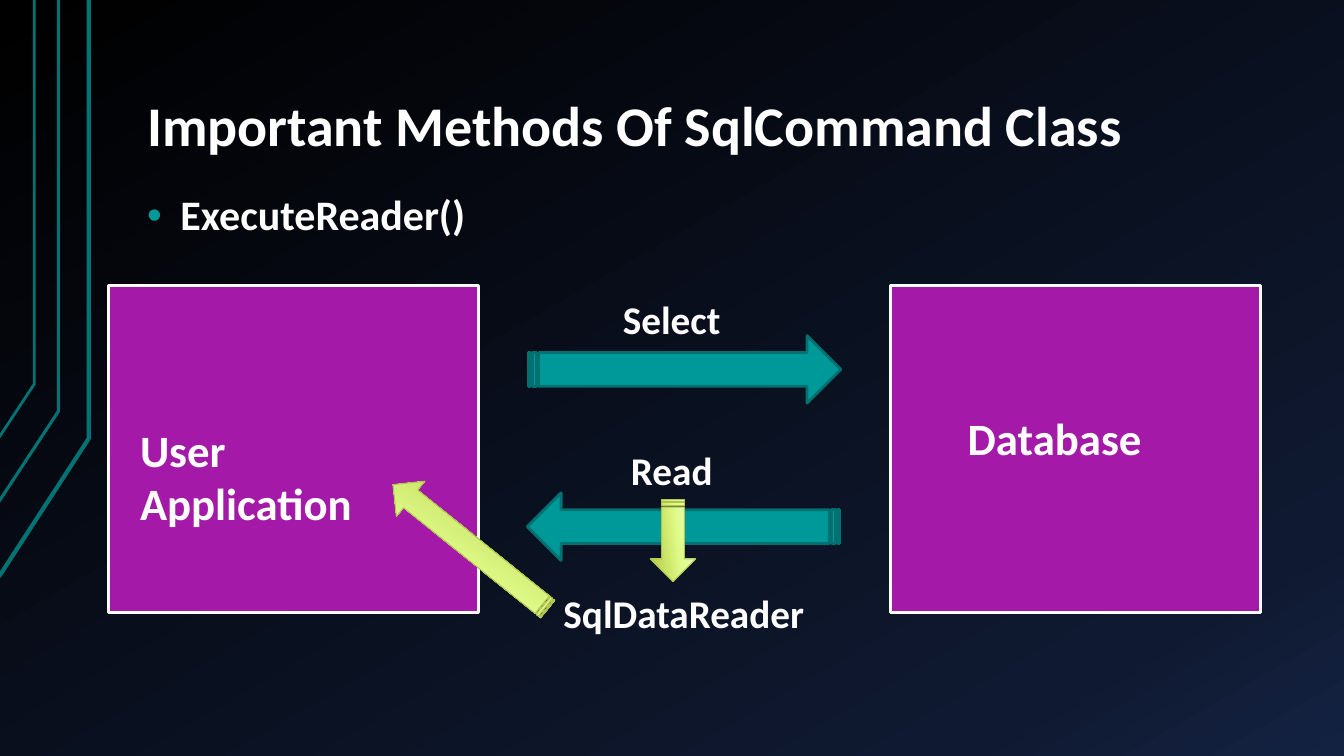
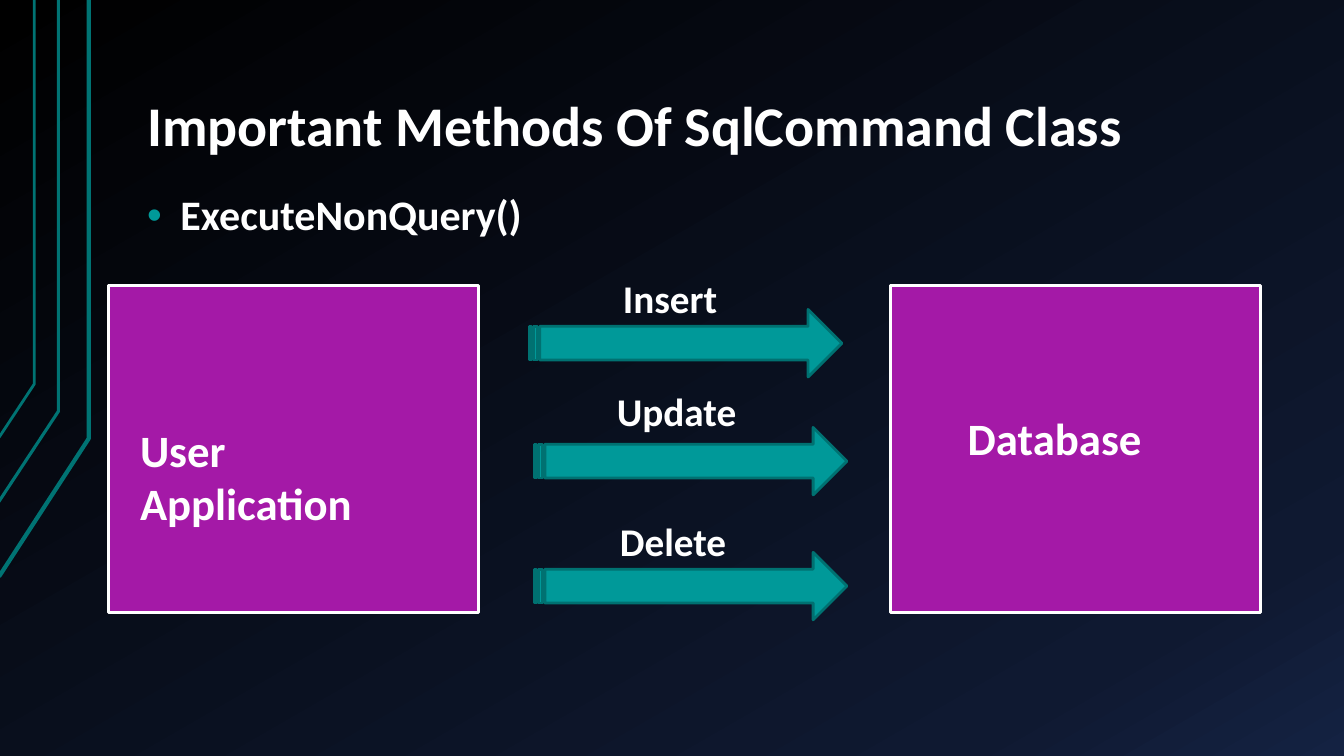
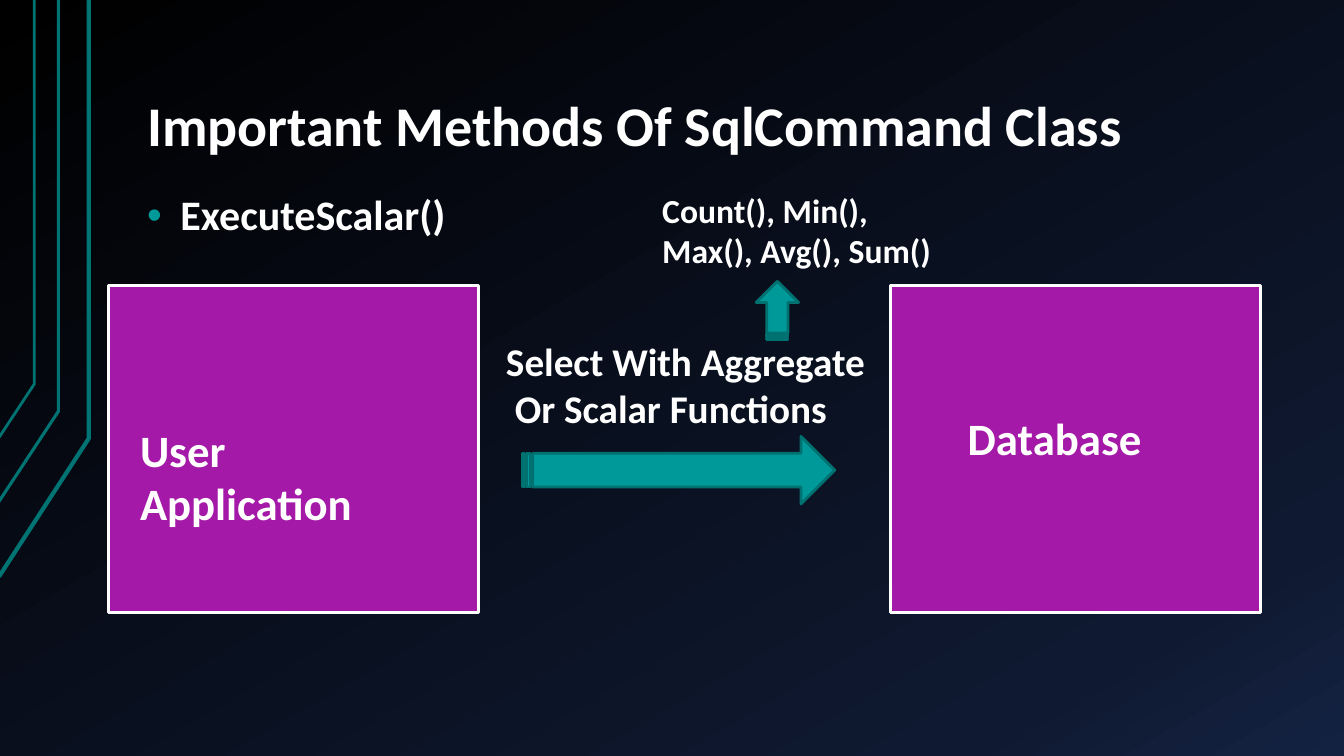
from lxml.etree import SubElement
from pptx import Presentation
from pptx.dml.color import RGBColor
from pptx.enum.shapes import MSO_SHAPE as SHAPE
from pptx.enum.text import MSO_ANCHOR as ANCHOR, MSO_AUTO_SIZE as AUTO_SIZE, PP_ALIGN as ALIGN
from pptx.oxml.ns import qn
from pptx.util import Inches, Pt

FONT = "Calibri"
WHITE, TEAL, DEEP_TEAL, TRACE = "FFFFFF", "009999", "007171", "007373"
PURPLE, OLIVE = "A419A7", "AFC34D"
NIGHT = [(0, "000000"), (85, "0F1931"), (100, "142242")]
LIME = [(0, "F1F7DD"), (40, "DFFB87"), (100, "B3C947")]
TITLE = "Important Methods Of SqlCommand Class"
APPLICATION_BOX = (1.08, 2.83, 3.67, 3.25)
DATABASE_BOX = (8.83, 2.83, 3.67, 3.25)
ARROW_SIZE = (3.1, 0.67)
TRACES = [
    (3, [(-0.01, 5.72), (0.88, 4.35), (0.88, 0)]),
    (2.25, [(-0.02, 4.99), (0.58, 4.08), (0.58, 0)]),
    (2, [(-0.01, 4.34), (0.34, 3.81), (0.34, 0)]),
]


def rgb(color):
    return RGBColor.from_string(color)


def inches(values):
    return [Inches(value) for value in values]


def set_gradient(fill, owner, stops, angle):
    """Fill with any number of stops; the angle runs clockwise."""
    fill.gradient()
    fill.gradient_angle = 360 - angle
    stop_list = owner.find(".//" + qn("a:gsLst"))
    for stop in list(stop_list):
        stop_list.remove(stop)
    for percent, color in stops:
        stop = SubElement(stop_list, qn("a:gs"), pos=str(percent * 1000))
        SubElement(stop, qn("a:srgbClr"), val=color)


def outline(shape, color, width):
    shape.shadow.inherit = False
    shape.line.color.rgb = rgb(color)
    shape.line.width = Pt(width)


def style(paragraph, size):
    font = paragraph.font
    font.name, font.size, font.bold = FONT, Pt(size), True
    font.color.rgb = rgb(WHITE)


def decorate_master(master, slide):
    """Give the master its background and the traces, which are drawn on a slide first."""
    set_gradient(master.background.fill, master.element, NIGHT, 60)
    tree = master.element.find(".//" + qn("p:spTree"))
    for position, (width, points) in enumerate(TRACES, start=2):
        start, *rest = [inches(point) for point in points]
        builder = slide.shapes.build_freeform(*start)
        builder.add_line_segments(rest, close=False)
        trace = builder.convert_to_shape()
        trace.fill.background()
        outline(trace, TRACE, width)
        tree.insert(position, trace.element)


def fill_placeholder(placeholder, box, text, size):
    placeholder.left, placeholder.top, placeholder.width, placeholder.height = inches(box)
    frame = placeholder.text_frame
    frame.text = text
    frame.auto_size = AUTO_SIZE.NONE
    frame.margin_left = frame.margin_right = Inches(0.13)
    frame.margin_top = frame.margin_bottom = Inches(0.07)
    paragraph = frame.paragraphs[0]
    paragraph.alignment = ALIGN.LEFT
    paragraph.line_spacing = 0.9
    style(paragraph, size)
    return frame


def add_heading(slide, method):
    title = fill_placeholder(slide.shapes.title, (1.33, 0.3, 11.33, 1.34), TITLE, 40)
    title.vertical_anchor = ANCHOR.BOTTOM
    body = fill_placeholder(slide.placeholders[1], (1.33, 1.86, 11.33, 4.88), method, 30)
    body.vertical_anchor = ANCHOR.TOP
    bullet = body.paragraphs[0]
    bullet.space_before = Pt(16)
    properties = bullet._p.get_or_add_pPr()
    properties.set("marL", str(Inches(0.33)))
    properties.set("indent", str(Inches(-0.33)))
    bullet_color = SubElement(properties, qn("a:buClr"))
    SubElement(bullet_color, qn("a:srgbClr"), val=TEAL)
    properties.find(qn("a:defRPr")).addprevious(bullet_color)


def add_label(slide, box, text, size=28):
    frame = slide.shapes.add_textbox(*inches(box)).text_frame
    frame.word_wrap = False
    frame.auto_size = AUTO_SIZE.SHAPE_TO_FIT_TEXT
    frame.text = text
    for paragraph in frame.paragraphs:
        style(paragraph, size)


def add_party(slide, box, name, offset, name_width):
    """A purple box with its name placed at an offset inside it."""
    party = slide.shapes.add_shape(SHAPE.RECTANGLE, *inches(box))
    party.fill.solid()
    party.fill.fore_color.rgb = rgb(PURPLE)
    outline(party, WHITE, 2)
    left, top = box[0] + offset[0], box[1] + offset[1]
    add_label(slide, (left, top, name_width, 0.64), name, 32)


def add_arrow(slide, box, rotation=0, lime=False):
    arrow = slide.shapes.add_shape(SHAPE.STRIPED_RIGHT_ARROW, *inches(box))
    arrow.rotation = rotation
    if lime:
        set_gradient(arrow.fill, arrow.element, LIME, 84)
        outline(arrow, OLIVE, 0.75)
    else:
        arrow.fill.solid()
        arrow.fill.fore_color.rgb = rgb(TEAL)
        outline(arrow, DEEP_TEAL, 2)


def add_command(slide, left, top, text, label_box, rotation=0):
    """An arrow between the parties; the label box is relative to the arrow's corner."""
    add_arrow(slide, (left, top, *ARROW_SIZE), rotation)
    dx, dy, width, height = label_box
    add_label(slide, (left + dx, top + dy, width, height), text)


def add_method_slide(prs, method):
    slide = prs.slides.add_slide(prs.slide_layouts[1])
    add_heading(slide, method)
    add_party(slide, APPLICATION_BOX, "User Application", (0.21, 1.31), 3.22)
    add_party(slide, DATABASE_BOX, "Database", (0.67, 1.2), 1.94)
    return slide


def add_reader_slide(prs):
    slide = add_method_slide(prs, "ExecuteReader()")
    add_command(slide, 5.24, 3.33, "Select", (0.84, -0.45, 1.18, 0.57))
    add_command(slide, 5.23, 4.89, "Read", (0.93, -0.51, 1.02, 0.57), rotation=180)
    add_arrow(slide, (6.27, 5.14, 0.81, 0.45), 90, lime=True)
    add_label(slide, (5.49, 5.8, 2.62, 0.57), "SqlDataReader")
    add_arrow(slide, (3.68, 5.2, 1.97, 0.45), 218.8, lime=True)
    return slide


def add_non_query_slide(prs):
    slide = add_method_slide(prs, "ExecuteNonQuery()")
    for left, top, text, dx, dy, width in [
        (5.25, 3.07, "Insert", 0.83, -0.4, 1.15),
        (5.3, 4.24, "Update", 0.72, -0.45, 1.4),
        (5.3, 5.48, "Delete", 0.75, -0.4, 1.27),
    ]:
        add_command(slide, left, top, text, (dx, dy, width, 0.57))


def add_scalar_slide(prs):
    slide = add_method_slide(prs, "ExecuteScalar()")
    add_command(slide, 5.18, 4.33, "Select With Aggregate\n Or Scalar Functions",
                (-0.26, -1.03, 3.81, 1.04))
    add_arrow(slide, (7.42, 2.87, 0.58, 0.42), 270)
    add_label(slide, (6.47, 1.83, 2.9, 0.91), "Count(), Min(),\nMax(), Avg(), Sum()", 24)


def main():
    prs = Presentation()
    prs.slide_width, prs.slide_height = inches((13.33, 7.5))
    reader_slide = add_reader_slide(prs)
    decorate_master(prs.slide_master, reader_slide)
    add_non_query_slide(prs)
    add_scalar_slide(prs)
    prs.save("out.pptx")


if __name__ == "__main__":
    main()
